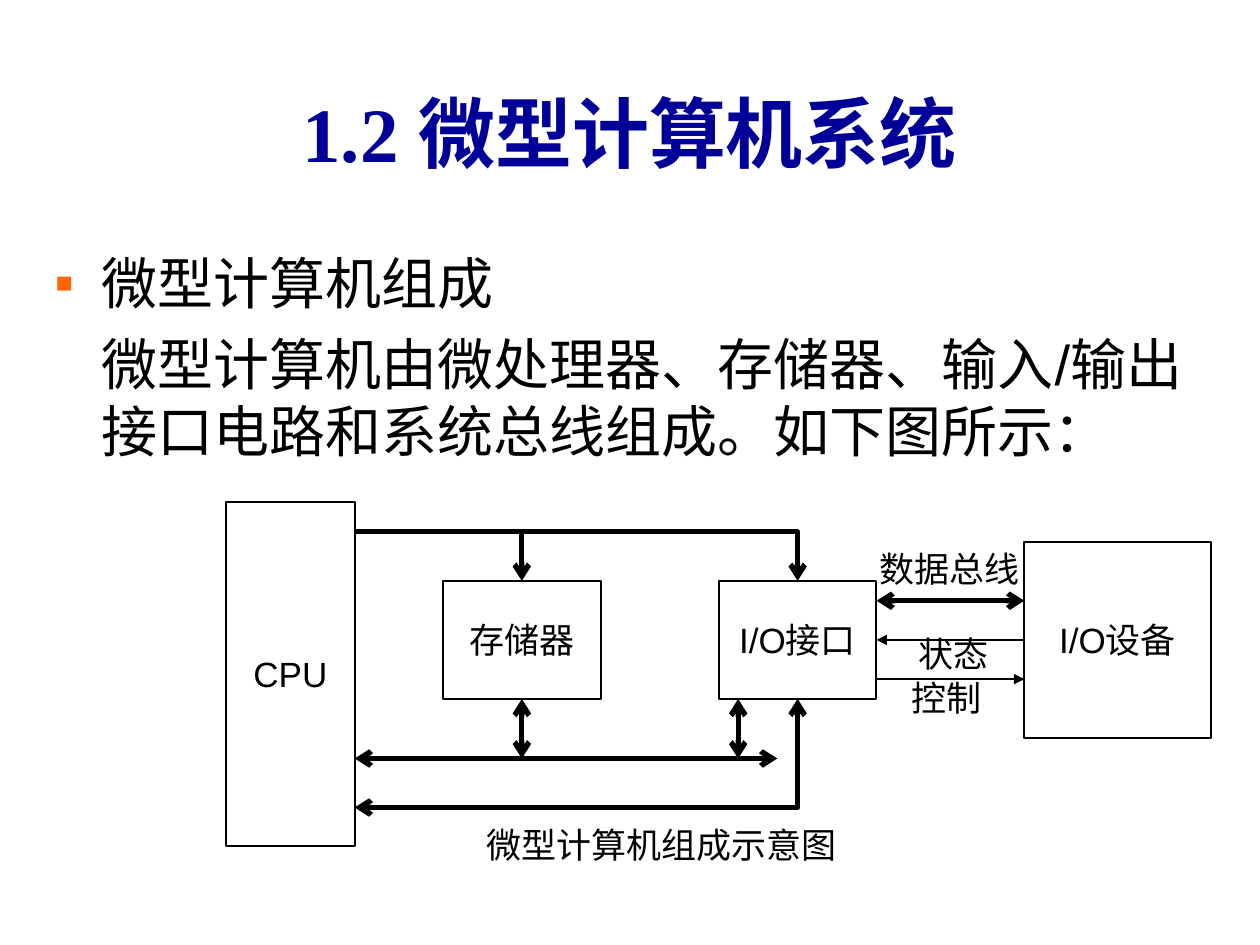
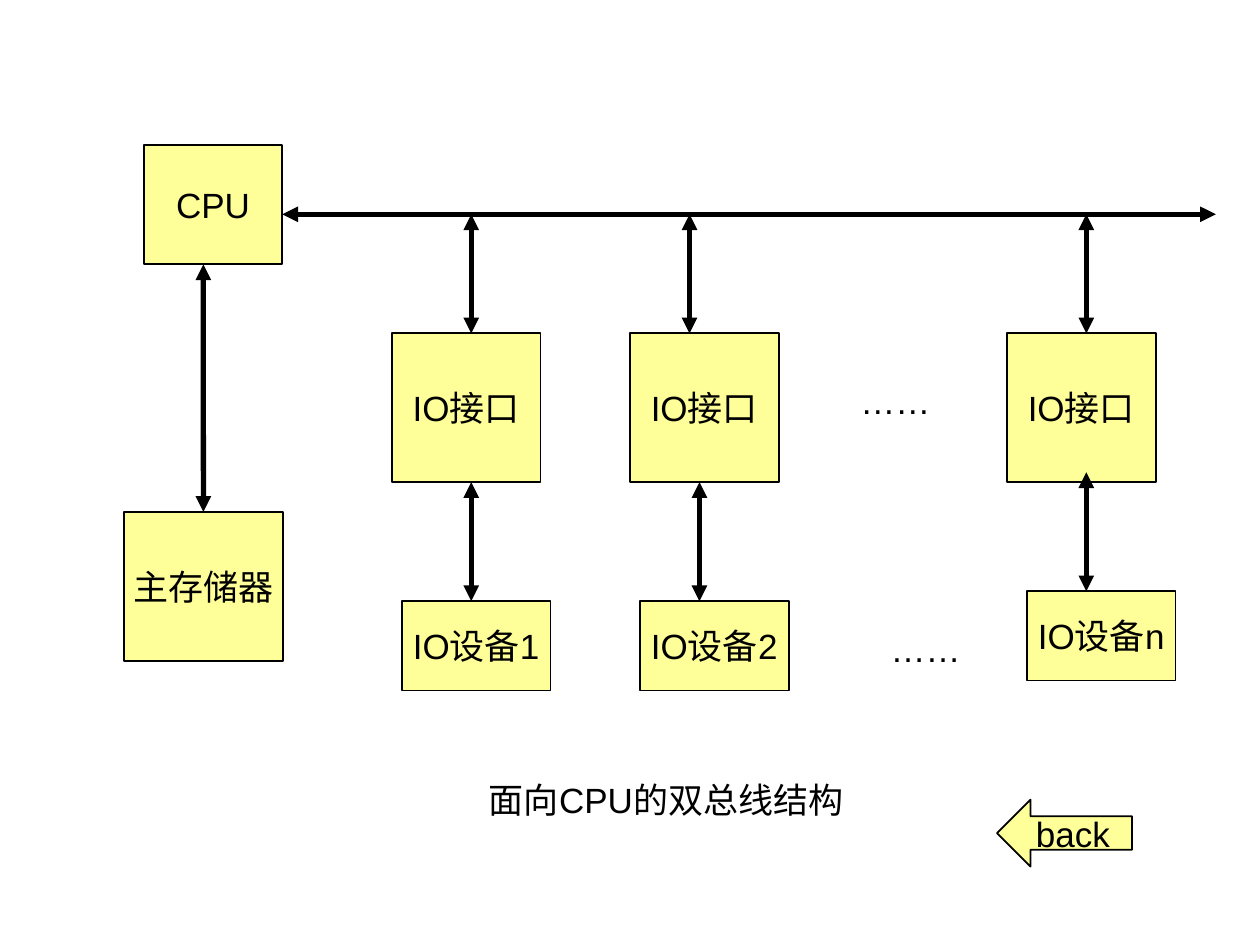
from lxml.etree import SubElement
from pptx import Presentation
from pptx.dml.color import RGBColor
from pptx.enum.shapes import MSO_CONNECTOR, MSO_SHAPE
from pptx.enum.text import MSO_ANCHOR, MSO_AUTO_SIZE, PP_ALIGN
from pptx.oxml.ns import qn
from pptx.util import Cm, Pt

BLACK, NAVY, ORANGE, YELLOW = "000000", "000099", "FF6600", "FFFF99"
TOP, LEFT, BOTTOM, RIGHT = range(4)


def color(hex_code):
    return RGBColor.from_string(hex_code)


class Deck:
    """Holds the shared style and the slide being built."""

    def __init__(self, presentation):
        self.presentation = presentation
        self.slide = None
        self.box_fill = None
        self.box_line = 1
        self.arrowhead = "triangle"

    def add_slide(self, layout_index, box_fill, box_line, arrowhead):
        layout = self.presentation.slide_layouts[layout_index]
        self.slide = self.presentation.slides.add_slide(layout)
        self.box_fill = box_fill
        self.box_line = box_line
        self.arrowhead = arrowhead

    def format_runs(self, paragraph, size, hex_code=BLACK, font="Arial", bold=False):
        for run in paragraph.runs:
            run.font.name = font
            run.font.size = Pt(size)
            run.font.bold = bold
            run.font.color.rgb = color(hex_code)

    def place(self, shape, left, top, width, height):
        shape.left, shape.top = Cm(left), Cm(top)
        shape.width, shape.height = Cm(width), Cm(height)

    def title(self, text):
        title = self.slide.shapes.title
        self.place(title, 0.84, 1.07, 23.72, 3.17)
        title.text_frame.text = text
        title.text_frame.auto_size = MSO_AUTO_SIZE.NONE
        title.text_frame.vertical_anchor = MSO_ANCHOR.MIDDLE
        paragraph = title.text_frame.paragraphs[0]
        paragraph.alignment = PP_ALIGN.CENTER
        self.format_runs(paragraph, 44, NAVY, "Times New Roman", True)

    def body(self, heading, explanation):
        body = self.slide.placeholders[1]
        self.place(body, 0.84, 4.88, 23.72, 5.05)
        text_frame = body.text_frame
        text_frame.text = f"{heading}\n{explanation}"
        text_frame.auto_size = MSO_AUTO_SIZE.NONE
        for paragraph, bullet, space in zip(text_frame.paragraphs, ("▪", None), (0, 8)):
            self.set_bullet(paragraph, bullet)
            paragraph.space_before = Pt(space)
            self.format_runs(paragraph, 32)

    def set_bullet(self, paragraph, bullet):
        properties = paragraph._p.get_or_add_pPr()
        properties.set("marL", str(Cm(0.95)))
        properties.set("indent", str(Cm(-0.95) if bullet else 0))
        if bullet:
            bullet_color = SubElement(properties, qn("a:buClr"))
            SubElement(bullet_color, qn("a:srgbClr"), val=ORANGE)
            SubElement(properties, qn("a:buFont"), typeface="Arial")
            SubElement(properties, qn("a:buChar"), char=bullet)
        else:
            SubElement(properties, qn("a:buNone"))

    def center_text(self, shape, text):
        text_frame = shape.text_frame
        text_frame.text = text
        text_frame.word_wrap = False
        paragraph = text_frame.paragraphs[0]
        paragraph.alignment = PP_ALIGN.CENTER
        self.format_runs(paragraph, 20)

    def box(self, text, left, top, width, height, kind=MSO_SHAPE.RECTANGLE):
        shape = self.slide.shapes.add_shape(kind, Cm(left), Cm(top), Cm(width), Cm(height))
        shape.shadow.inherit = False
        if self.box_fill:
            shape.fill.solid()
            shape.fill.fore_color.rgb = color(self.box_fill)
        else:
            shape.fill.background()
        shape.line.color.rgb = color(BLACK)
        shape.line.width = Pt(self.box_line)
        shape.text_frame.vertical_anchor = MSO_ANCHOR.MIDDLE
        self.center_text(shape, text)
        return shape

    def label(self, text, center, top, width=2.1):
        shape = self.slide.shapes.add_textbox(
            Cm(center - width / 2), Cm(top), Cm(width), Cm(1.12))
        self.center_text(shape, text)
        shape.text_frame.auto_size = MSO_AUTO_SIZE.SHAPE_TO_FIT_TEXT

    def connect(self, start, end, both=True, bent=False, width=3, arrowhead=None,
                begin_at=None, end_at=None):
        kind = MSO_CONNECTOR.ELBOW if bent else MSO_CONNECTOR.STRAIGHT
        connector = self.slide.shapes.add_connector(kind, *map(Cm, start + end))
        if begin_at:
            connector.begin_connect(*begin_at)
        if end_at:
            connector.end_connect(*end_at)
        connector.line.color.rgb = color(BLACK)
        connector.line.width = Pt(width)
        properties = connector._element.spPr
        if bent:
            properties.find(qn("a:prstGeom")).set("prst", "bentConnector2")
        line = properties.find(qn("a:ln"))
        for tag in ("a:headEnd", "a:tailEnd") if both else ("a:tailEnd",):
            SubElement(line, qn(tag), type=arrowhead or self.arrowhead)
        SubElement(properties, qn("a:effectLst"))


def build_composition(deck):
    deck.add_slide(1, None, 1.13, "arrow")
    deck.title("1.2 微型计算机系统")
    deck.body("微型计算机组成",
              "微型计算机由微处理器、存储器、输入/输出接口电路和系统总线组成。如下图所示：")

    deck.box("CPU", 4.56, 10.12, 2.59, 6.93)
    memory = deck.box("存储器", 8.93, 11.71, 3.18, 2.38)
    interface = deck.box("I/O接口", 14.49, 11.71, 3.18, 2.38)
    device = deck.box("I/O设备", 20.65, 10.92, 3.76, 3.96)

    cpu_right, memory_x, interface_x = 7.15, 10.52, 16.08
    box_top, box_bottom = 11.71, 14.09
    address_y, data_y, control_y = 10.72, 15.29, 16.28
    for x in (memory_x, interface_x):
        deck.connect((cpu_right, address_y), (x, box_top), both=False, bent=True)
    deck.connect((cpu_right, data_y), (15.67, data_y))
    deck.connect((cpu_right, control_y), (interface_x, box_bottom), bent=True)
    deck.connect((memory_x, box_bottom), (memory_x, data_y), begin_at=(memory, BOTTOM))
    deck.connect((14.88, box_bottom), (14.88, data_y))

    interface_right, device_left = 17.67, 20.65
    deck.connect((interface_right, 12.11), (device_left, 12.11))
    thin = {"both": False, "width": 1, "arrowhead": "triangle"}
    deck.connect((device_left, 12.9), (interface_right, 12.9), **thin,
                 begin_at=(device, LEFT), end_at=(interface, RIGHT))
    deck.connect((interface_right, 13.69), (device_left, 13.69), **thin)

    deck.label("数据总线", 19.15, 10.92, 3.4)
    deck.label("控制", 19.09, 13.51)
    deck.label("状态", 19.22, 12.62)
    deck.label("微型计算机组成示意图", 13.34, 16.47, 7.7)


def build_dual_bus(deck):
    deck.add_slide(6, YELLOW, 1, "triangle")
    deck.box("CPU", 2.9, 2.92, 2.79, 2.4)
    memory = deck.box("主存储器", 2.5, 10.32, 3.2, 3)
    deck.connect((4.1, 5.33), (4.1, 10.32), end_at=(memory, TOP))

    bus_y, interface_top, link_length = 4.32, 6.72, 2.4
    deck.connect((5.69, bus_y), (24.51, bus_y))
    columns = [
        ("1", 7.9, 9.5, 9.5, 8.1, 12.12),
        ("2", 12.7, 13.9, 14.1, 12.9, 12.12),
        ("n", 20.3, 21.9, 21.9, 20.7, 11.92),
    ]
    for number, interface_left, bus_x, link_x, device_left, device_top in columns:
        deck.box("IO接口", interface_left, interface_top, 3, 3)
        deck.box(f"IO设备{number}", device_left, device_top, 3, 1.8)
        deck.connect((bus_x, bus_y), (bus_x, interface_top))
        deck.connect((link_x, device_top - link_length), (link_x, device_top))

    deck.label("……", 18.05, 7.52)
    deck.label("……", 18.66, 12.52)
    deck.label("面向CPU的双总线结构", 13.43, 15.57, 8.2)
    deck.box("back", 20.1, 16.12, 2.72, 1.35, MSO_SHAPE.LEFT_ARROW)


def main():
    presentation = Presentation()
    presentation.slide_width, presentation.slide_height = Cm(25.4), Cm(19.05)
    deck = Deck(presentation)
    build_composition(deck)
    build_dual_bus(deck)
    presentation.save("out.pptx")


if __name__ == "__main__":
    main()
